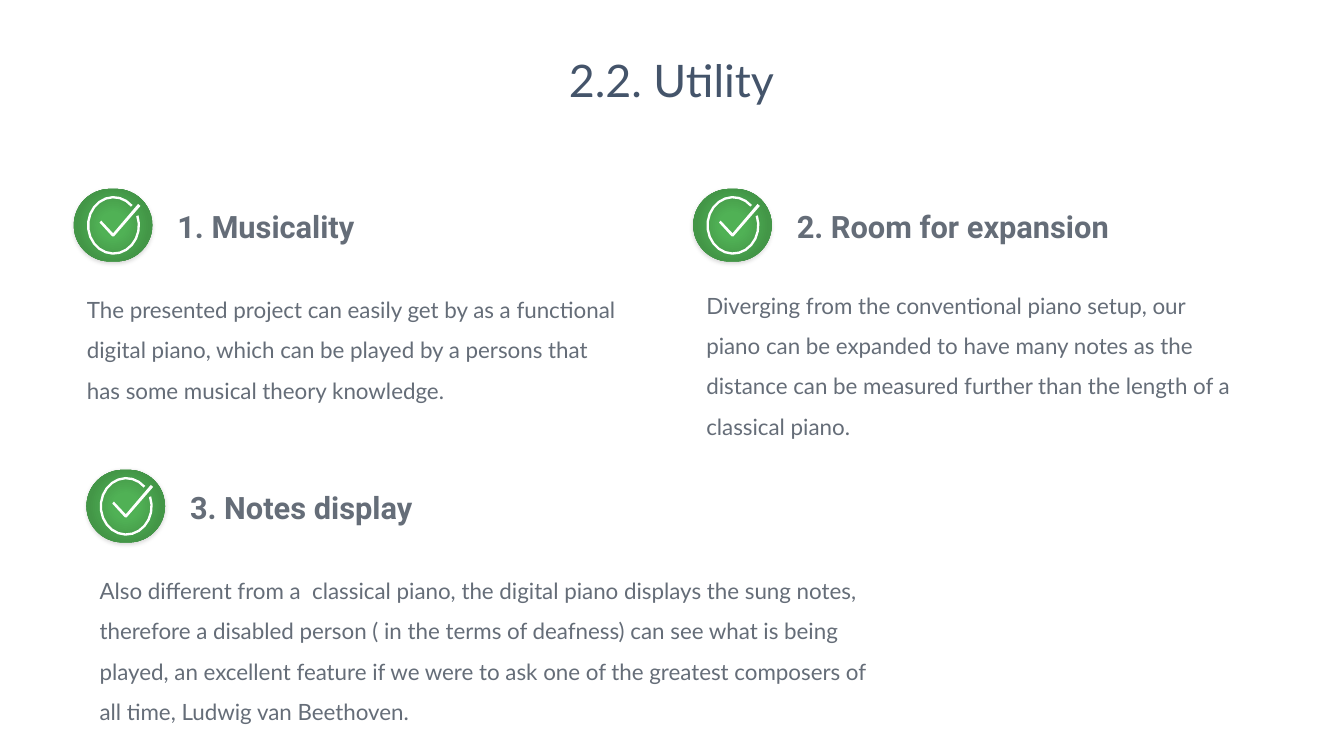
"""Builds the Utility slide with three check-marked points."""
import math

from pptx import Presentation
from pptx import util as u
from pptx.dml.color import RGBColor
from pptx.enum import shapes, text
from pptx.oxml import parse_xml
from pptx.oxml.ns import nsdecls

GREENS = ((0, "50B155"), (23, "50B155"), (69, "439647"), (97, "3E8C42"))
CHECK = ((0.36, 0.62), (0.66, 0.94), (1.29, 0.2), (1.35, 0.25),
         (0.68, 1.02), (0.64, 1.02), (0.32, 0.67))
POINTS = (
    (1.86, 4.76, 2.37, 13.51, "1. Musicality",
     "The presented project can easily get by as a functional digital piano, which can be "
     "played by a persons that has some musical theory knowledge."),
    (17.47, 4.76, 2.26, 13.51, "2. Room for expansion",
     "Diverging from the conventional piano setup, our piano can be expanded to have many "
     "notes as the distance can be measured further than the length of a classical piano."),
    (2.18, 11.84, 2.37, 19.66, "3. Notes display",
     "Also different from a  classical piano, the digital piano displays the sung notes, "
     "therefore a disabled person ( in the terms of deafness) can see what is being played, "
     "an excellent feature if we were to ask one of the greatest composers of all time, "
     "Ludwig van Beethoven."),
)


def color(code):
    return RGBColor.from_string(code)


def write(frame, words, font="Lato", size=16, ink="656D78", bold=False,
          align=text.PP_ALIGN.LEFT, spacing=1.0, before=0):
    para = frame.paragraphs[0]
    para.alignment = align
    para.line_spacing = spacing
    para.space_before = u.Pt(before)
    span = para.add_run()
    span.text = words
    span.font.name = font
    span.font.size = u.Pt(size)
    span.font.bold = bold
    span.font.color.rgb = color(ink)


def ring_arc(inset):
    return [(0.67 + (0.67 - inset) * math.cos(math.radians(angle)),
             0.74 + (0.74 - inset) * math.sin(math.radians(angle)))
            for angle in range(-20, 317, 16)]


class UtilitySlide:
    def __init__(self, deck):
        self.page = deck.slides.add_slide(deck.slide_layouts[5])
        self.ink = "656D78"
        self.white = "FFFFFF"

    def title(self, words):
        box = self.page.shapes.title
        box.left, box.top = u.Cm(10.36), u.Cm(1.21)
        box.width, box.height = u.Cm(13.13), u.Cm(1.63)
        box.text_frame.auto_size = text.MSO_AUTO_SIZE.NONE
        box.text_frame.vertical_anchor = text.MSO_ANCHOR.TOP
        write(box.text_frame, words, size=32, ink="44546A", align=text.PP_ALIGN.CENTER)

    def badge(self, group, left, top):
        badge = group.shapes.add_shape(shapes.MSO_SHAPE.ROUNDED_RECTANGLE,
                                       u.Cm(left), u.Cm(top), u.Cm(1.98), u.Cm(1.83))
        badge.adjustments[0] = 0.5
        badge.line.fill.background()
        stops = "".join(f'<a:gs pos="{place * 1000}"><a:srgbClr val="{code}"/></a:gs>'
                        for place, code in GREENS)
        properties = badge._element.spPr
        properties.insert(2, parse_xml(
            f'<a:gradFill {nsdecls("a")}><a:gsLst>{stops}</a:gsLst><a:path path="circle">'
            '<a:fillToRect l="50000" t="50000" r="50000" b="50000"/></a:path></a:gradFill>'))
        properties.append(parse_xml(
            f'<a:effectLst {nsdecls("a")}><a:outerShdw blurRad="38100" dist="12700" '
            'dir="5400000" algn="t" rotWithShape="0"><a:srgbClr val="000000">'
            '<a:alpha val="15000"/></a:srgbClr></a:outerShdw></a:effectLst>'))

    def check_mark(self, group, left, top):
        ring = ring_arc(0) + ring_arc(0.06)[::-1]
        ring, check = ([(x * 1000, y * 1000) for x, y in outline] for outline in (ring, CHECK))
        pen = group.shapes.build_freeform(*ring[0], scale=u.Cm(1) / 1000)
        pen.add_line_segments(ring[1:])
        pen.move_to(*check[0])
        pen.add_line_segments(check[1:])
        mark = pen.convert_to_shape(u.Cm(left), u.Cm(top))
        mark.shadow.inherit = False
        mark.fill.solid()
        mark.fill.fore_color.rgb = color(self.white)
        mark.line.fill.background()

    def text_box(self, group, left, top, width, height, words, grow=False, **style):
        box = group.shapes.add_textbox(u.Cm(left), u.Cm(top), u.Cm(width), u.Cm(height))
        frame = box.text_frame
        frame.word_wrap = True
        frame.margin_left = frame.margin_right = frame.margin_top = frame.margin_bottom = 0
        if grow:
            frame.auto_size = text.MSO_AUTO_SIZE.SHAPE_TO_FIT_TEXT
            frame.vertical_anchor = text.MSO_ANCHOR.MIDDLE
        write(frame, words, ink=self.ink, **style)

    def point(self, left, top, drop, width, heading, body):
        group = self.page.shapes.add_group_shape()
        self.badge(group, left, top)
        self.text_box(group, left + 2.61, top + 0.25, 9.93, 1.12, heading, grow=True,
                      font="Roboto", size=22, bold=True, spacing=1.3)
        self.text_box(group, left + 0.33, top + drop, width, 4.17, body,
                      spacing=1.5, before=7.5)
        self.check_mark(group, left + 0.33, top + 0.18)


def main():
    deck = Presentation()
    deck.slide_width, deck.slide_height = u.Cm(33.87), u.Cm(19.05)
    slide = UtilitySlide(deck)
    slide.title("2.2. Utility")
    for point in POINTS:
        slide.point(*point)
    deck.save("out.pptx")


if __name__ == "__main__":
    main()
